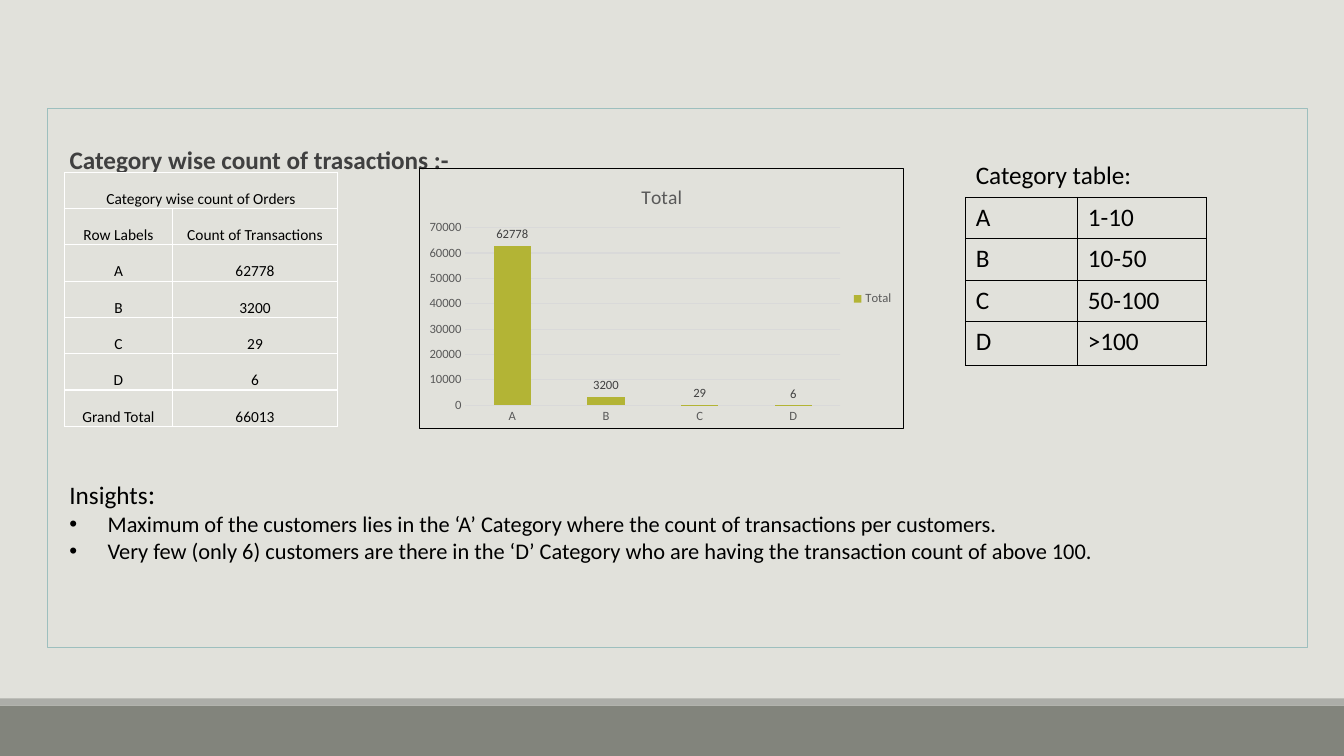
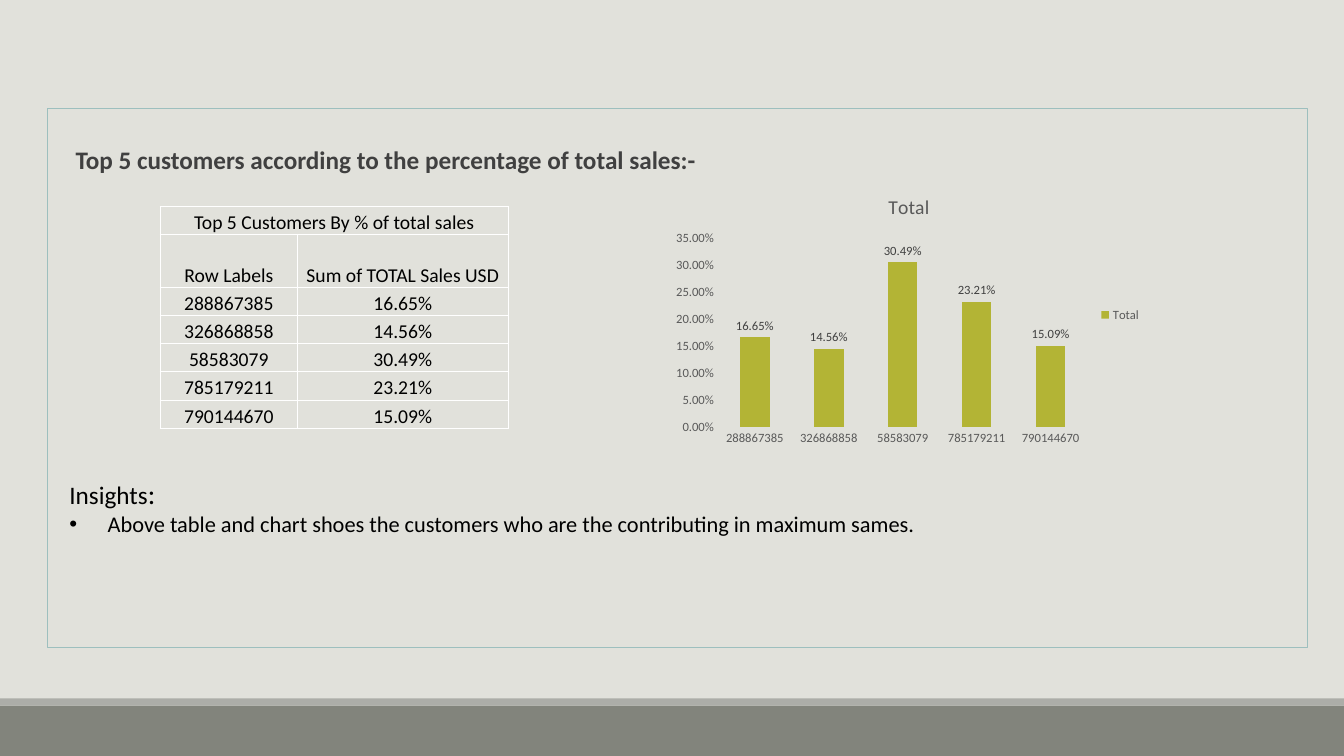
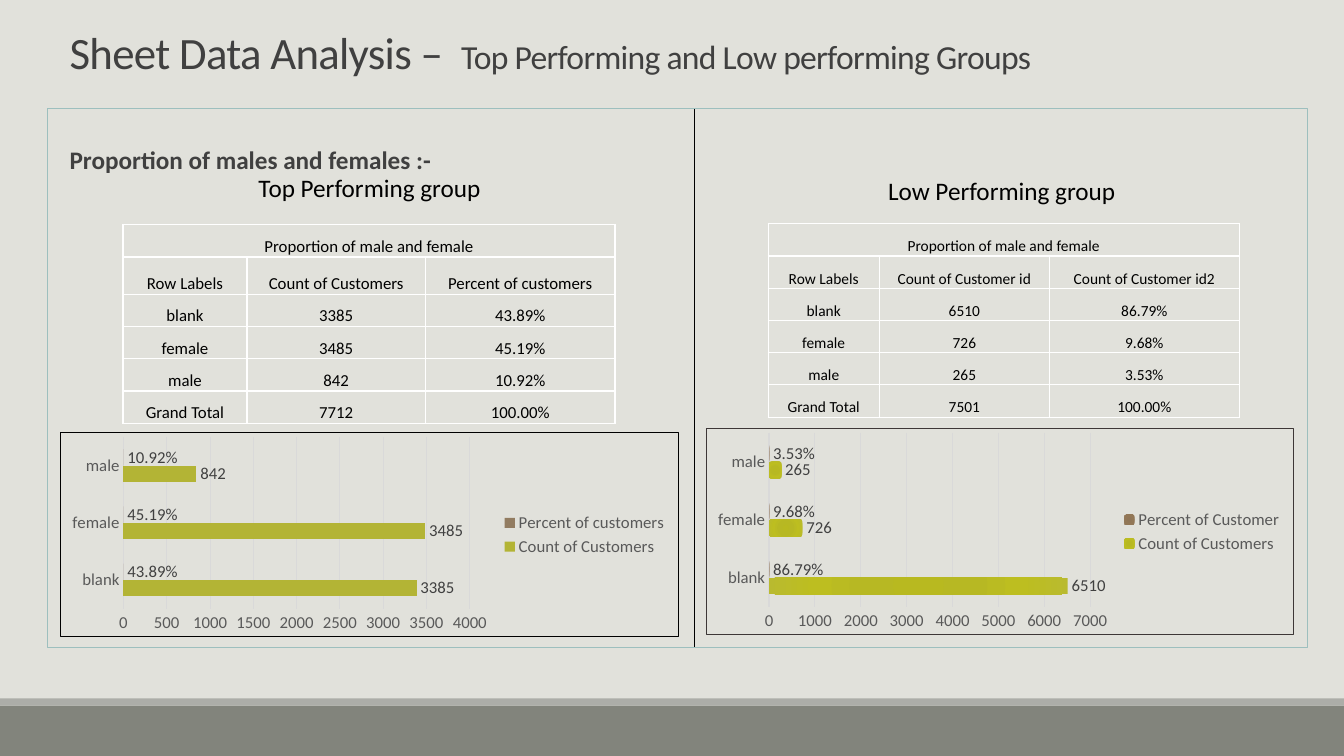
from pptx import Presentation
from pptx import util as u
from pptx.chart import data as chart_data
from pptx.dml.color import RGBColor
from pptx.enum import chart as ch, shapes, text
from pptx.oxml import ns, parse_xml

FONT = "Calibri"
PAPER = RGBColor(0xE1, 0xE1, 0xDB)
BAND = RGBColor(0x82, 0x84, 0x7C)
BAND_EDGE = RGBColor(0xAC, 0xAD, 0xA8)
PANEL_LINE = RGBColor(0x9D, 0xBF, 0xBE)
DARK = RGBColor(0x40, 0x40, 0x40)
GREY = RGBColor(0x59, 0x59, 0x59)
GRID = RGBColor(0xD9, 0xD9, 0xD9)
FRAME = RGBColor(0x3D, 0x37, 0x37)
BLACK = RGBColor(0, 0, 0)
WHITE = RGBColor(0xFF, 0xFF, 0xFF)
OLIVE = RGBColor(0xB3, 0xB4, 0x35)
BROWN = RGBColor(0x92, 0x7C, 0x61)
# Radial gradients: stop position in percent and colour
OLIVE_GLOW = {0: RGBColor(0xB8, 0xB9, 0x20), 34: RGBColor(0xB7, 0xB8, 0x23),
              70: RGBColor(0xBD, 0xBE, 0x20), 100: RGBColor(0xB9, 0xBA, 0x2F)}
BROWN_GLOW = {0: RGBColor(0x8F, 0x74, 0x54), 34: RGBColor(0x8F, 0x75, 0x56),
              70: RGBColor(0x92, 0x77, 0x56), 100: RGBColor(0x94, 0x7C, 0x5F)}

PANEL = (0.47, 1.08, 12.5, 5.34)
PERCENT = "0.00%"


def xml(tag, body="", attrs=""):
    return parse_xml(f'<{tag} {ns.nsdecls("a", "c")} {attrs}>{body}</{tag}>')


def solid(color):
    return f'<a:solidFill><a:srgbClr val="{color}"/></a:solidFill>'


def box(*lengths):
    return [u.Inches(n) for n in lengths]


def set_font(font, size, color, bold=False):
    font.name, font.size, font.bold = FONT, u.Pt(size), bold
    font.color.rgb = color


class Deck:
    def __init__(self):
        self.prs = Presentation()
        self.prs.slide_width, self.prs.slide_height = box(13.33, 7.5)
        background = self.prs.slide_master.background.fill
        background.solid()
        background.fore_color.rgb = PAPER
        self.slide = None

    def new_slide(self, heading, title=None, indent=0.22):
        """Start a slide with its bands, headed panel and optional title."""
        self.slide = self.prs.slides.add_slide(
            self.prs.slide_layouts[5 if title else 6])
        self.rect((0, 7, 13.33, 0.5), BAND)
        self.rect((0, 6.93, 13.33, 0.07), BAND_EDGE)
        frame = self.rect(PANEL, PAPER, PANEL_LINE).text_frame
        frame.word_wrap = True
        frame.vertical_anchor = text.MSO_ANCHOR.TOP
        frame.margin_left, frame.margin_right = box(indent, 0)
        line = frame.paragraphs[0]
        line.alignment = text.PP_ALIGN.LEFT
        line.line_spacing = 2.0
        self.run(line, heading, 18, DARK, bold=True)
        if title:
            self.title(title)

    def title(self, runs):
        holder = self.slide.shapes.title
        holder.left, holder.top, holder.width, holder.height = box(0.59, 0.26, 11, 0.59)
        holder.text_frame.vertical_anchor = text.MSO_ANCHOR.MIDDLE
        line = holder.text_frame.paragraphs[0]
        line.alignment = text.PP_ALIGN.LEFT
        line.line_spacing = 0.85
        for words, size, spacing in runs:
            run = self.run(line, words, size, DARK)
            run.font._element.set("spc", str(int(spacing * 100)))

    def rect(self, at, fill, line=None):
        shape = self.slide.shapes.add_shape(shapes.MSO_SHAPE.RECTANGLE, *box(*at))
        shape.shadow.inherit = False
        shape.fill.solid()
        shape.fill.fore_color.rgb = fill
        if line is None:
            shape.line.fill.background()
        else:
            shape.line.color.rgb = line
            shape.line.width = u.Pt(0.75)
        return shape

    def run(self, paragraph, words, size, color=BLACK, bold=False):
        run = paragraph.add_run()
        run.text = words
        set_font(run.font, size, color, bold)
        return run

    def text_box(self, at):
        frame = self.slide.shapes.add_textbox(*box(*at)).text_frame
        frame.word_wrap = True
        return frame

    def label(self, at, words, align=text.PP_ALIGN.LEFT):
        line = self.text_box(at).paragraphs[0]
        line.alignment = align
        self.run(line, words, 18)

    def insights(self, height, points):
        frame = self.text_box((0.59, 4.68, 12.26, height))
        self.run(frame.paragraphs[0], "Insights", 18)
        self.run(frame.paragraphs[0], ":", 20)
        for point in points:
            line = frame.add_paragraph()
            props = line._p.get_or_add_pPr()
            props.set("marL", str(u.Inches(0.38)))
            props.set("indent", str(u.Inches(-0.38)))
            props.append(xml("a:buFont", attrs='typeface="Arial"'))
            props.append(xml("a:buChar", attrs='char="•"'))
            self.run(line, point, 16)

    def divider(self, x):
        top, bottom = PANEL[1], PANEL[1] + PANEL[3]
        line = self.slide.shapes.add_connector(
            shapes.MSO_CONNECTOR.STRAIGHT, *box(x, top, x, bottom))
        line.line.color.rgb = BLACK
        line.line.width = u.Pt(1)
        line._element.spPr.append(xml("a:effectLst"))

    def table(self, at, cols, heights, rows, size, border=WHITE, compact=True):
        """A compact table is centred; a one-cell row spans all columns."""
        table = self.slide.shapes.add_table(
            len(rows), len(cols), *box(*at, sum(cols), sum(heights))).table
        table.first_row = table.horz_banding = False
        for column, width in zip(table.columns, cols):
            column.width = u.Inches(width)
        for row, height in zip(table.rows, heights):
            row.height = u.Inches(height)
        for r, row in enumerate(rows):
            for c in range(len(cols)):
                cell = table.cell(r, c)
                self.style_cell(cell, border, compact)
                if c < len(row):
                    line = cell.text_frame.paragraphs[0]
                    if compact:
                        line.alignment = text.PP_ALIGN.CENTER
                    self.run(line, row[c], size)
            if len(row) == 1:
                table.cell(r, 0).merge(table.cell(r, len(cols) - 1))

    def style_cell(self, cell, border, compact):
        for side in "LRTB":
            cell._tc.get_or_add_tcPr().append(
                xml(f"a:ln{side}", solid(border), f'w="{u.Pt(1)}"'))
        cell.fill.solid()
        cell.fill.fore_color.rgb = PAPER
        if compact:
            cell.vertical_anchor = text.MSO_ANCHOR.BOTTOM
            cell.margin_left = cell.margin_right = cell.margin_top = u.Inches(0.01)
            cell.margin_bottom = 0

    def chart(self, at, kind, cats, series, size, title=None, border=None,
              grid=True, axis_line=None, axis_format=None):
        """Each series is (name, values, colour or gradient, number format)."""
        data = chart_data.CategoryChartData()
        data.categories = cats
        for name, values, _, number_format in series:
            data.add_series(name, values, number_format)
        chart = self.slide.shapes.add_chart(kind, *box(*at), data).chart
        set_font(chart.font, 10, BLACK)
        chart.has_title = title is not None
        if title:
            self.run(chart.chart_title.text_frame.paragraphs[0], title, 14, GREY)
            chart.chart_title.include_in_layout = False
        chart.has_legend = True
        chart.legend.position = ch.XL_LEGEND_POSITION.RIGHT
        chart.legend.include_in_layout = False
        set_font(chart.legend.font, size, GREY)
        # Axes
        for axis in (chart.category_axis, chart.value_axis):
            axis.major_tick_mark = axis.minor_tick_mark = ch.XL_TICK_MARK.NONE
            set_font(axis.tick_labels.font, size, GREY)
            axis.format.line.fill.background()
        if axis_line is not None:
            chart.category_axis.format.line.color.rgb = axis_line
            chart.category_axis.format.line.width = u.Pt(1)
        values_axis = chart.value_axis
        values_axis.has_major_gridlines = grid
        if grid:
            values_axis.major_gridlines.format.line.color.rgb = GRID
            values_axis.major_gridlines.format.line.width = u.Pt(0.75)
        if axis_format:
            values_axis.tick_labels.number_format = axis_format
            values_axis.tick_labels.number_format_is_linked = False
        # Bars and their labels
        plot = chart.plots[0]
        plot.gap_width = 150
        plot.vary_by_categories = False
        for bars, (_, _, color, number_format) in zip(plot.series, series):
            bars.invert_if_negative = False
            self.fill_bars(bars, color)
            labels = bars.data_labels
            labels.show_value = True
            labels.position = ch.XL_LABEL_POSITION.OUTSIDE_END
            labels.number_format = number_format
            labels.number_format_is_linked = False
            set_font(labels.font, size, DARK)
        self.frame_chart(chart, border)

    def fill_bars(self, bars, color):
        if isinstance(color, dict):
            stops = "".join(f'<a:gs pos="{pos * 1000}"><a:srgbClr val="{rgb}"/></a:gs>'
                            for pos, rgb in color.items())
            centre = '<a:fillToRect l="100000" t="100000" r="100000" b="100000"/>'
            bars._element.get_or_add_spPr().append(xml(
                "a:gradFill",
                f'<a:gsLst>{stops}</a:gsLst><a:path path="circle">{centre}</a:path>'))
        else:
            bars.format.fill.solid()
            bars.format.fill.fore_color.rgb = color

    def frame_chart(self, chart, border):
        """Transparent area with square corners and an optional outline."""
        space = chart._chartSpace
        line = "<a:noFill/>" if border is None else solid(border)
        space.find(ns.qn("c:chart")).addnext(xml(
            "c:spPr", f'<a:noFill/><a:ln w="{u.Pt(0.75)}">{line}</a:ln>'))
        space.find(ns.qn("c:date1904")).addnext(xml("c:roundedCorners", attrs='val="0"'))


def category_slide(deck):
    deck.new_slide("Category wise count of trasactions :-")
    cats, counts = ["A", "B", "C", "D"], [62778, 3200, 29, 6]
    rows = [["Category wise count of Orders"], ["Row Labels", "Count of Transactions"]]
    rows += [[cat, str(count)] for cat, count in zip(cats, counts)]
    rows += [["Grand Total", "66013"]]
    deck.table((0.64, 1.71), [1.07, 1.64], [0.36] * 7, rows, 11)
    ranges = ["1-10", "10-50", "50-100", ">100"]
    deck.table((9.58, 1.96), [1.11, 1.28], [0.41] * 3 + [0.44],
               list(zip(cats, ranges)), 18, border=BLACK, compact=False)
    deck.chart((4.16, 1.67, 4.81, 2.59), ch.XL_CHART_TYPE.COLUMN_CLUSTERED, cats,
               [("Total", counts, OLIVE, "General")], 9, title="Total", border=BLACK)
    deck.insights(0.98, [
        "Maximum of the customers lies in the ‘A’ Category where the count of "
        "transactions per customers.",
        "Very few (only 6) customers are there in the ‘D’ Category who are having "
        "the transaction count of above 100."])
    deck.label((9.58, 1.53, 2.34, 0.4), "Category table:")


def customers_slide(deck):
    deck.new_slide("Top 5 customers according to the percentage of total sales:-",
                   indent=0.28)
    deck.insights(0.71, ["Above table and chart shoes the customers who are the "
                         "contributing in maximum sames."])
    customers = ["288867385", "326868858", "58583079", "785179211", "790144670"]
    shares = [0.1665, 0.1456, 0.3049, 0.2321, 0.1509]
    deck.chart((6.61, 1.77, 4.81, 2.71), ch.XL_CHART_TYPE.COLUMN_CLUSTERED, customers,
               [("Total", shares, OLIVE, PERCENT)], 9, title="Total", grid=False,
               axis_format=PERCENT)
    rows = [["Top 5 Customers By % of total sales"],
            ["Row Labels", "Sum of TOTAL Sales USD"]]
    rows += [[name, f"{share:.2%}"] for name, share in zip(customers, shares)]
    deck.table((1.59, 2.05), [1.36, 2.09], [0.28, 0.52] + [0.28] * 5, rows, 14)


def group(deck, name, name_at, table_at, cols, heights, size, heads, counts, shares,
          total, chart_at, share_name, colors, **chart_style):
    """One performing group: name, table and bar chart."""
    sexes = ["blank", "female", "male"]
    rows = [["Proportion of male and female"], ["Row Labels", *heads]]
    rows += [[sex, str(count), f"{share:.2%}"]
             for sex, count, share in zip(sexes, counts, shares)]
    rows += [["Grand Total", total, "100.00%"]]
    deck.table(table_at, cols, heights, rows, size)
    deck.chart(chart_at, ch.XL_CHART_TYPE.BAR_CLUSTERED, sexes,
               [("Count of Customers", counts, colors[0], "General"),
                (share_name, shares, colors[1], PERCENT)], 12, **chart_style)
    deck.label((*name_at, 4.69, 0.4), name, text.PP_ALIGN.CENTER)


def groups_slide(deck):
    deck.new_slide("Proportion of males and females :-", title=[
        ("Sheet Data Analysis –", 32, -0.5), (" ", 32, 5.7),
        ("Top Performing and Low performing Groups", 24, -0.5)])
    group(deck, "Top Performing group", (1.32, 1.66), (1.22, 2.23),
          [1.23, 1.77, 1.88], [0.32, 0.37] + [0.32] * 4, 12,
          ["Count of Customers", "Percent of customers"],
          [3385, 3485, 842], [0.4389, 0.4519, 0.1092], "7712",
          (0.59, 4.29, 6.14, 2.03), "Percent of customers", (OLIVE, BROWN),
          border=BLACK)
    deck.divider(6.89)
    group(deck, "Low Performing group", (7.59, 1.69), (7.62, 2.22),
          [1.1, 1.69, 1.88], [0.32] * 6, 11,
          ["Count of Customer id", "Count of Customer id2"],
          [6510, 726, 265], [0.8679, 0.0968, 0.0353], "7501",
          (7, 4.25, 5.83, 2.05), "Percent of Customer", (OLIVE_GLOW, BROWN_GLOW),
          border=FRAME, axis_line=GRID)


def main():
    deck = Deck()
    category_slide(deck)
    customers_slide(deck)
    groups_slide(deck)
    deck.prs.save("out.pptx")


if __name__ == "__main__":
    main()
